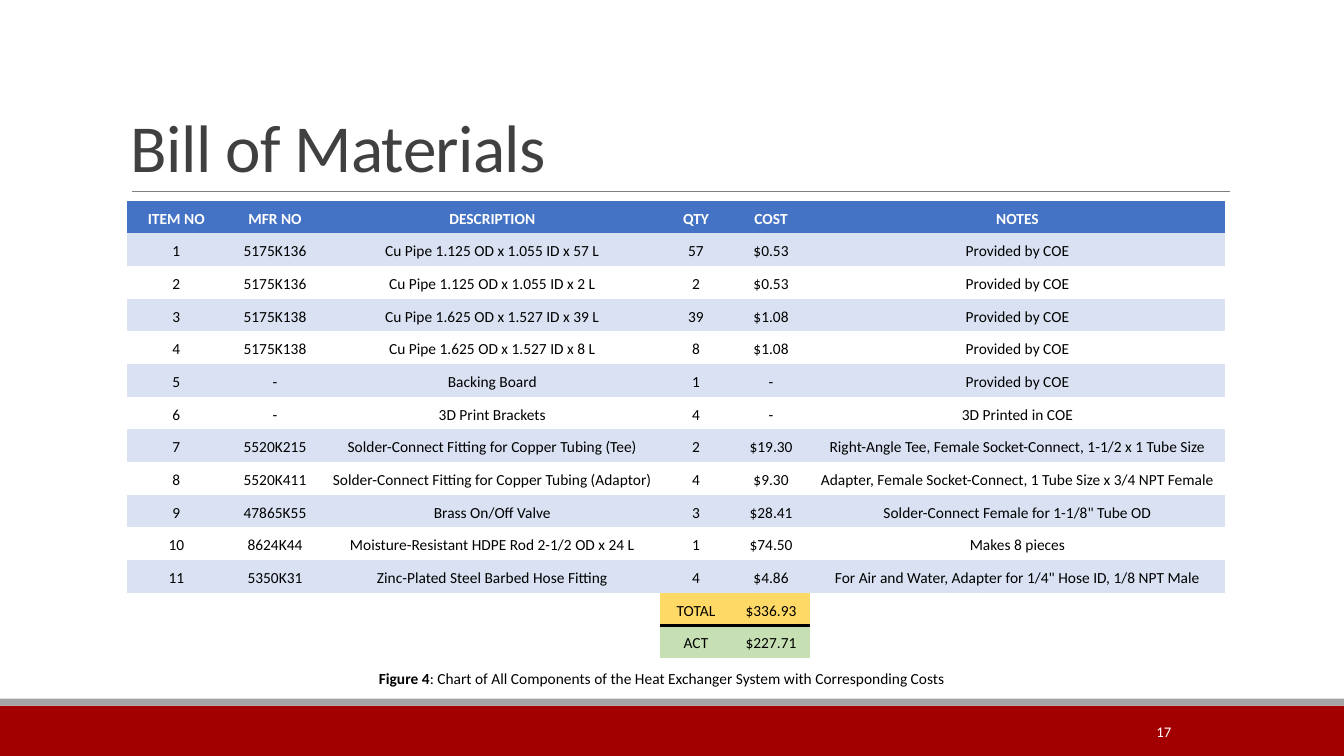
from pptx import Presentation
from pptx import util as u
from pptx.dml.color import RGBColor
from pptx.enum import shapes, text
from pptx.oxml import ns
from lxml import etree

Pt = u.Pt
FONT = "Calibri"
NO_STYLE_NO_GRID = "{2D5ABB26-0587-4C30-8999-92F81FD0307C}"
COLUMN_WIDTHS = [70.5, 70.5, 239.9, 51.1, 56.2, 295.8]
ROW_HEIGHT = 23.35

HEADINGS = ["ITEM NO", "MFR NO", "DESCRIPTION", "QTY", "COST", "NOTES"]
COMPONENTS = [
    ["5175K136", "Cu Pipe 1.125 OD x 1.055 ID x 57 L", "57", "$0.53", "Provided by COE"],
    ["5175K136", "Cu Pipe 1.125 OD x 1.055 ID x 2 L", "2", "$0.53", "Provided by COE"],
    ["5175K138", "Cu Pipe 1.625 OD x 1.527 ID x 39 L", "39", "$1.08", "Provided by COE"],
    ["5175K138", "Cu Pipe 1.625 OD x 1.527 ID x 8 L", "8", "$1.08", "Provided by COE"],
    ["-", "Backing Board", "1", "-", "Provided by COE"],
    ["-", "3D Print Brackets", "4", "-", "3D Printed in COE"],
    ["5520K215", "Solder-Connect Fitting for Copper Tubing (Tee)", "2", "$19.30",
     "Right-Angle Tee, Female Socket-Connect, 1-1/2 x 1 Tube Size"],
    ["5520K411", "Solder-Connect Fitting for Copper Tubing (Adaptor)", "4", "$9.30",
     "Adapter, Female Socket-Connect, 1 Tube Size x 3/4 NPT Female"],
    ["47865K55", "Brass On/Off Valve", "3", "$28.41",
     "Solder-Connect Female for 1-1/8\" Tube OD"],
    ["8624K44", "Moisture-Resistant HDPE Rod 2-1/2 OD x 24 L", "1", "$74.50", "Makes 8 pieces"],
    ["5350K31", "Zinc-Plated Steel Barbed Hose Fitting", "4", "$4.86",
     "For Air and Water, Adapter for 1/4\" Hose ID, 1/8 NPT Male"],
]
TOTAL = ["", "", "", "TOTAL", "$336.93", ""]
ACTUAL = ["", "", "", "ACT", "$227.71", ""]


def color(value):
    return RGBColor.from_string(value)


def add_run(paragraph, words, size, font_color, bold=False):
    run = paragraph.add_run()
    run.text = words
    run.font.name = FONT
    run.font.size = Pt(size)
    run.font.bold = bold
    run.font.color.rgb = color(font_color)
    return run


def add_text_box(slide, left, top, width, height, anchor):
    """Add an empty wrapping text box and return its first paragraph."""
    frame = slide.shapes.add_textbox(Pt(left), Pt(top), Pt(width), Pt(height)).text_frame
    frame.word_wrap = True
    frame.vertical_anchor = anchor
    return frame.paragraphs[0]


def add_bar(slide, top, height, fill):
    """Add a full-width bar."""
    bar = slide.shapes.add_shape(
        shapes.MSO_SHAPE.RECTANGLE, 0, Pt(top), Pt(960), Pt(height))
    bar.shadow.inherit = False
    bar.fill.solid()
    bar.fill.fore_color.rgb = color(fill)
    bar.line.fill.background()


def add_rule(slide, left, right, y):
    rule = slide.shapes.add_connector(
        shapes.MSO_CONNECTOR.STRAIGHT, Pt(left), Pt(y), Pt(right), Pt(y))
    rule.line.color.rgb = color("808080")
    rule.line.width = Pt(0.5)
    etree.SubElement(rule._element.spPr, ns.qn("a:effectLst"))


def add_border(cell, side, line_color, width):
    """Draw one cell border; side is lnT or lnB."""
    line = etree.Element(ns.qn("a:" + side), w=str(Pt(width)))
    fill = etree.SubElement(line, ns.qn("a:solidFill"))
    etree.SubElement(fill, ns.qn("a:srgbClr"), val=line_color)
    cell._tc.get_or_add_tcPr().insert(0, line)


def fill_row(table, row, values, fill=None, font_color="000000", bold=False):
    for cell, value in zip(table.rows[row].cells, values):
        cell.margin_left = cell.margin_right = cell.margin_top = 0
        cell.margin_bottom = Pt(3.6 if value else 0)
        cell.vertical_anchor = text.MSO_ANCHOR.BOTTOM
        if value and fill:
            cell.fill.solid()
            cell.fill.fore_color.rgb = color(fill)
        else:
            cell.fill.background()
        if value:
            paragraph = cell.text_frame.paragraphs[0]
            paragraph.alignment = text.PP_ALIGN.CENTER
            add_run(paragraph, value, 11, font_color, bold)


def add_materials_table(slide):
    row_count = len(COMPONENTS) + 3
    frame = slide.shapes.add_table(
        row_count, len(HEADINGS), Pt(90.7), Pt(143.4),
        Pt(sum(COLUMN_WIDTHS)), Pt(ROW_HEIGHT * row_count))
    table = frame.table
    table.horz_banding = False
    table._tbl.tblPr.find(ns.qn("a:tableStyleId")).text = NO_STYLE_NO_GRID
    for column, width in zip(table.columns, COLUMN_WIDTHS):
        column.width = Pt(width)
    for row in table.rows:
        row.height = Pt(ROW_HEIGHT)

    fill_row(table, 0, HEADINGS, "4472C4", "FFFFFF", True)
    for item, component in enumerate(COMPONENTS, 1):
        fill_row(table, item, [str(item)] + component, "D9E1F2" if item % 2 else None)
    total_row, actual_row = row_count - 2, row_count - 1
    fill_row(table, total_row, TOTAL, "FFD966")
    fill_row(table, actual_row, ACTUAL, "C6E0B4")
    for column in (3, 4):
        add_border(table.cell(total_row, column), "lnB", "000000", 2)
        add_border(table.cell(actual_row, column), "lnT", "000000", 2)


def add_title(slide, words):
    paragraph = add_text_box(slide, 86.4, 22.3, 792, 114.5, text.MSO_ANCHOR.BOTTOM)
    paragraph.line_spacing = 0.85
    run = add_run(paragraph, words, 48, "404040")
    run.font._element.set("spc", "-50")


def add_page_number(slide, number):
    paragraph = add_text_box(slide, 779.8, 508.3, 103, 28.8, text.MSO_ANCHOR.MIDDLE)
    paragraph.alignment = text.PP_ALIGN.CENTER
    add_run(paragraph, number, 10.5, "FFFFFF")


def add_caption(slide, label, words):
    paragraph = add_text_box(slide, 263.5, 474.5, 437.8, 20.9, text.MSO_ANCHOR.TOP)
    add_run(paragraph, label, 11, "000000", True)
    add_run(paragraph, words, 11, "000000")


def main():
    presentation = Presentation()
    presentation.slide_width, presentation.slide_height = Pt(960), Pt(540)
    slide = presentation.slides.add_slide(presentation.slide_layouts[6])
    add_bar(slide, 504, 36, "A20000")
    add_bar(slide, 499, 5, "A5A5A5")
    add_rule(slide, 94.3, 878.8, 136.8)
    add_title(slide, "Bill of Materials")
    add_page_number(slide, "17")
    add_materials_table(slide)
    add_caption(slide, "Figure 4",
                ": Chart of All Components of the Heat Exchanger System with Corresponding Costs")
    presentation.save("out.pptx")


if __name__ == "__main__":
    main()
